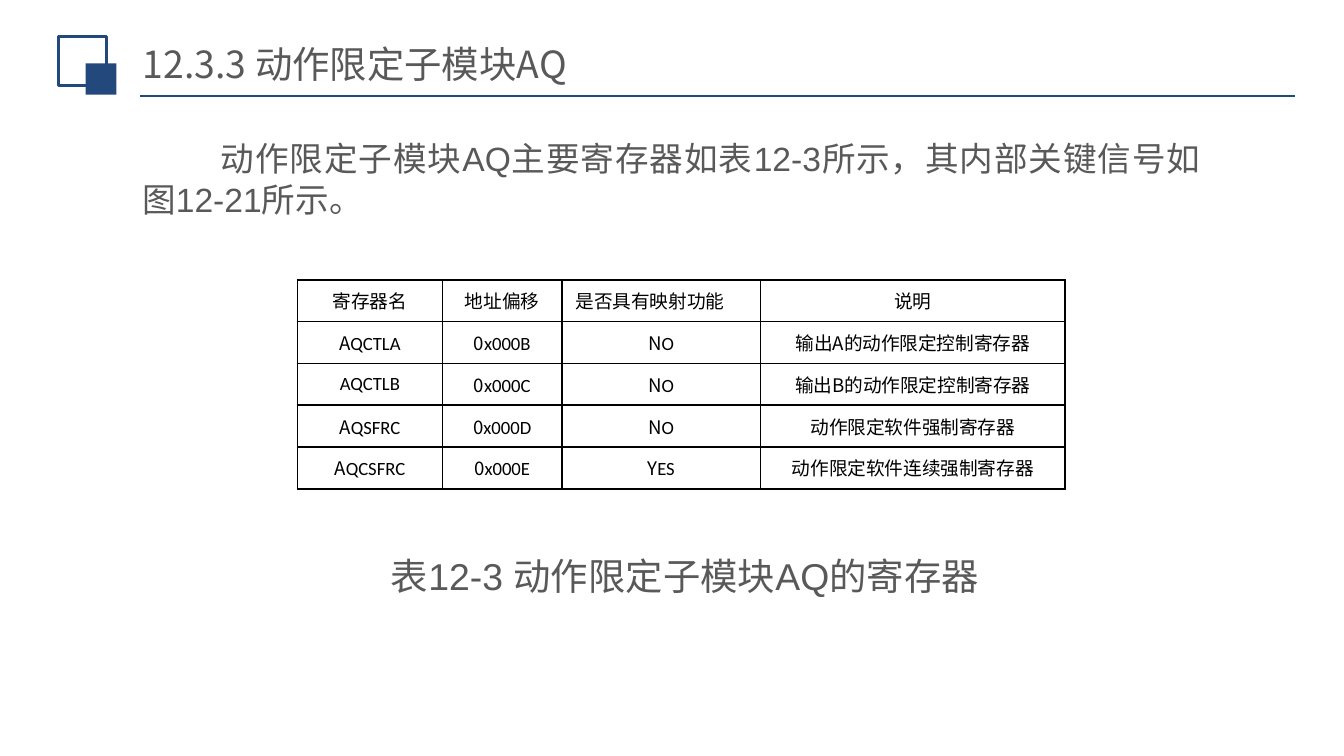
"""Build a slide listing the registers of the AQ action-qualifier submodule."""
import pptx
import pptx.dml.color
import pptx.enum.shapes
import pptx.enum.text
import pptx.oxml
import pptx.oxml.ns
import pptx.util

Cm = pptx.util.Cm
Pt = pptx.util.Pt
ALIGN = pptx.enum.text.PP_ALIGN
MIDDLE = pptx.enum.text.MSO_ANCHOR.MIDDLE

COLORS = {"navy": "23487C", "grey": "595959", "black": "000000"}
CJK_FONT = "Noto Sans CJK SC"
TABLE_FONTS = (CJK_FONT, "Calibri")
COLUMN_WIDTHS = (2.74, 2.26, 3.75, 5.76)
ROW_HEIGHT = 0.79
REGISTERS = (
    ("寄存器名", "地址偏移", " 是否具有映射功能", "说明"),
    ("A|QCTLA", "0|x000B", "N|O", "输出A的动作限定控制寄存器"),
    ("|AQCTLB", "0|x000C", "N|O", "输出B的动作限定控制寄存器"),
    ("A|QSFRC", "0|x000D", "N|O", "动作限定软件强制寄存器"),
    ("A|QCSFRC", "0|x000E", "Y|ES", "动作限定软件连续强制寄存器"),
)


def color(name):
    """Return the named palette colour."""
    return pptx.dml.color.RGBColor.from_string(COLORS[name])


def style_span(span, font, size, color_name):
    """Set one font for Latin and East Asian text, with size and colour."""
    span.font.name = font
    span.font.size = Pt(size)
    span.font.color.rgb = color(color_name)
    east_asian = pptx.oxml.parse_xml(
        f'<a:ea {pptx.oxml.ns.nsdecls("a")} typeface="{font}"/>')
    span.font._element.find(pptx.oxml.ns.qn("a:latin")).addnext(east_asian)


def add_text(page, place, text, font, size, align=ALIGN.JUSTIFY):
    """Add a wrapping grey text box and return it."""
    box = page.shapes.add_textbox(*map(Cm, place))
    frame = box.text_frame
    frame.word_wrap = True
    frame.text = text
    frame.paragraphs[0].alignment = align
    style_span(frame.paragraphs[0].runs[0], font, size, "grey")
    return box


def add_square(group, place, filled):
    """Add a solid or an outlined navy rectangle to a group."""
    square = group.shapes.add_shape(
        pptx.enum.shapes.MSO_SHAPE.RECTANGLE, *map(Cm, place))
    square.shadow.inherit = False
    if filled:
        square.fill.solid()
        square.fill.fore_color.rgb = color("navy")
        square.line.fill.background()
    else:
        square.fill.background()
        square.line.color.rgb = color("navy")
        square.line.width = Pt(1.5)


def add_rule(page, left, right, top):
    """Add the navy line under the title."""
    rule = page.shapes.add_connector(
        pptx.enum.shapes.MSO_CONNECTOR.STRAIGHT,
        Cm(left), Cm(top), Cm(right), Cm(top))
    rule.line.color.rgb = color("navy")
    rule.line.width = Pt(1.25)
    rule._element.spPr.append(pptx.oxml.parse_xml(
        f'<a:effectLst {pptx.oxml.ns.nsdecls("a")}/>'))


def add_borders(cell):
    """Draw a thin black border on all four sides of a cell."""
    properties = cell._tc.get_or_add_tcPr()
    for side in "LRTB":
        properties.append(pptx.oxml.parse_xml(
            f'<a:ln{side} {pptx.oxml.ns.nsdecls("a")} w="{Pt(1)}"><a:solidFill>'
            f'<a:srgbClr val="{COLORS["black"]}"/></a:solidFill></a:ln{side}>'))


def fill_cell(cell, text):
    """Write a cell whose parts around the bar take the two table fonts."""
    add_borders(cell)
    cell.fill.background()
    cell.vertical_anchor = MIDDLE
    cell.margin_left = cell.margin_right = Cm(0.18)
    cell.margin_top = cell.margin_bottom = 0
    para = cell.text_frame.paragraphs[0]
    para.alignment = ALIGN.LEFT if text.startswith(" ") else ALIGN.CENTER
    for part, font in zip(text.split("|"), TABLE_FONTS):
        if part:
            span = para.add_run()
            span.text = part
            style_span(span, font, 10, "black")


def add_register_table(page, left, top):
    """Add the bordered register table."""
    table = page.shapes.add_table(
        len(REGISTERS), len(COLUMN_WIDTHS), Cm(left), Cm(top),
        Cm(sum(COLUMN_WIDTHS)), Cm(ROW_HEIGHT * len(REGISTERS))).table
    table.first_row = table.horz_banding = False
    for column, width in zip(table.columns, COLUMN_WIDTHS):
        column.width = Cm(width)
    for row, texts in zip(table.rows, REGISTERS):
        row.height = Cm(ROW_HEIGHT)
        for cell, text in zip(row.cells, texts):
            fill_cell(cell, text)


def main():
    """Build and save the slide."""
    deck = pptx.Presentation()
    deck.slide_width, deck.slide_height = Cm(25.4), Cm(14.29)
    page = deck.slides.add_slide(deck.slide_layouts[6])

    add_rule(page, 2.65, 24.48, 1.82)
    emblem = page.shapes.add_group_shape()
    add_square(emblem, (1.1, 0.69, 0.92, 0.93), filled=False)
    add_square(emblem, (1.62, 1.2, 0.58, 0.59), filled=True)

    title = add_text(page, (2.52, 0.74, 16.38, 0.92),
                     "12.3.3 动作限定子模块AQ", CJK_FONT, 20, ALIGN.LEFT)
    frame = title.text_frame
    frame.vertical_anchor = MIDDLE
    frame.margin_left = frame.margin_right = Cm(0.18)
    frame.margin_top = frame.margin_bottom = Cm(0.1)

    intro = add_text(
        page, (2.44, 2.49, 20.5, 1.8),
        "动作限定子模块AQ主要寄存器如表12-3所示，其内部关键信号如图12-21所示。",
        "Arial", 18)
    intro.text_frame.paragraphs[0]._p.get_or_add_pPr().set("indent", str(Cm(1.48)))

    add_text(page, (7.14, 10.34, 11.96, 1.12),
             "表12-3 动作限定子模块AQ的寄存器", "Arial", 20)
    add_register_table(page, 5.62, 5.29)
    deck.save("out.pptx")


if __name__ == "__main__":
    main()
